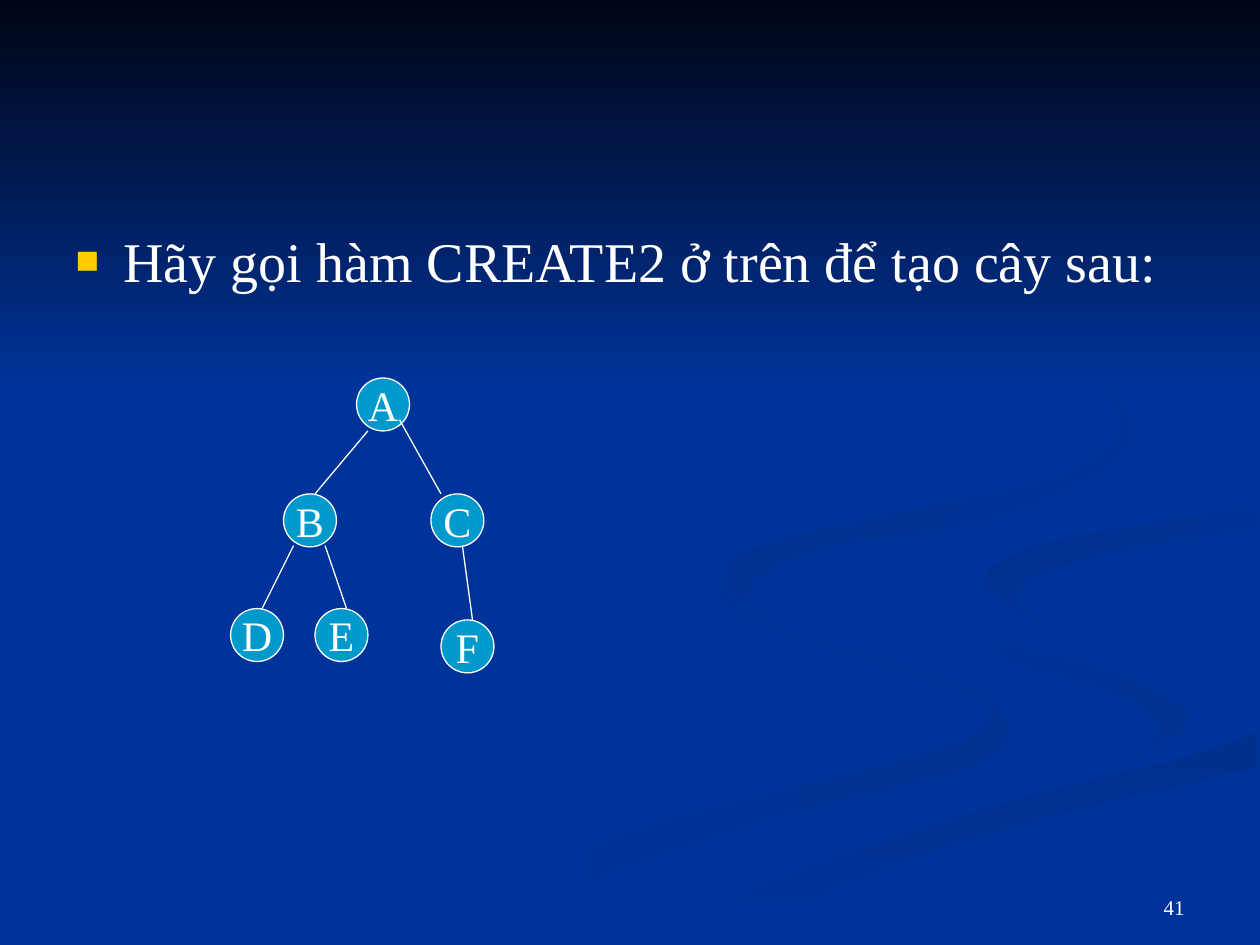
"""Build a slide that asks for a binary tree on a blue swirl background."""
from dataclasses import dataclass

from lxml.etree import SubElement
from pptx import Presentation
from pptx.dml.color import RGBColor
from pptx.enum.shapes import MSO_CONNECTOR, MSO_SHAPE
from pptx.enum.text import MSO_ANCHOR, PP_ALIGN
from pptx.oxml.ns import qn
from pptx.util import Inches, Pt


@dataclass(frozen=True)
class Theme:
    font: str = "Times New Roman"
    back: str = "003399"
    night: str = "000514"
    shade: str = "003193"
    deep_shade: str = "002F8E"
    node: str = "0099CC"
    text: str = "FFFFFF"
    bullet: str = "FFCC00"
    body_size: int = 32
    node_size: int = 24
    number_size: int = 12
    line_width: float = 0.75


THEME = Theme()

SWIRLS = [
    (THEME.back, THEME.shade, 0,
     [(5.75, 4.59), (5.7, 4.72), (6.11, 4.99), (6.97, 5.25), (7.7, 5.51),
      (7.86, 5.66), (7.59, 5.9), (6.52, 6.2), (4.99, 6.61), (3, 7.49)],
     [(3.61, 7.49), (4.66, 7), (6.23, 6.47), (7.69, 6.09), (8, 5.81),
      (7.81, 5.53), (7.15, 5.28), (6.26, 5.02), (5.79, 4.73), (5.75, 4.59)]),
    (THEME.back, THEME.shade, 45,
     [(7.24, 4.64), (7.33, 4.83), (7.92, 5.09), (8.88, 5.35), (9.43, 5.7),
      (8.94, 6.05)],
     [(8.94, 6.05), (9.18, 5.81), (8.92, 5.53), (7.97, 5.24), (7.33, 4.88),
      (7.24, 4.64)]),
    (THEME.deep_shade, THEME.back, 90,
     [(9.98, 5.81), (9.36, 6.02), (7.97, 6.38), (6.3, 6.93), (5.03, 7.49)],
     [(5.71, 7.49), (6.95, 6.92), (8.21, 6.51), (9.98, 6.09)]),
    (THEME.deep_shade, THEME.back, 45,
     [(8.26, 4.96), (7.81, 4.6), (8.21, 4.34), (8.98, 4.18), (9.98, 4.02)],
     [(9.98, 4.2), (8.78, 4.39), (8.06, 4.68), (8.26, 4.96)]),
    (THEME.deep_shade, THEME.back, 45,
     [(7.62, 2.33), (8.46, 2.79), (8.89, 3.35), (8.42, 3.78), (7.04, 4.09),
      (6.05, 4.33), (5.77, 4.62), (6.22, 5)],
     [(6.22, 5), (5.93, 4.7), (6.49, 4.36), (7.86, 4.12), (8.89, 3.62),
      (8.8, 3.07), (7.62, 2.33)]),
]

NODES = {"A": (2.83, 3), "B": (2.25, 3.92), "C": (3.42, 3.92),
         "D": (1.83, 4.83), "E": (2.5, 4.83), "F": (3.5, 4.92)}

EDGES = [(2.92, 3.42, 2.5, 3.92), (3.17, 3.33, 3.5, 3.92),
         (2.33, 4.33, 2.08, 4.83), (2.58, 4.33, 2.75, 4.83),
         (3.67, 4.33, 3.75, 4.92)]


def smooth(points, steps=5):
    padded = [points[0], *points, points[-1]]
    curve = []
    for quad in zip(padded, padded[1:], padded[2:], padded[3:]):
        for t in (i / steps for i in range(steps)):
            curve.append(tuple(
                b + t * ((c - a) + t * ((2 * a - 5 * b + 4 * c - d)
                                        + t * (3 * b - a - 3 * c + d))) / 2
                for a, b, c, d in zip(*quad)))
    return curve + [points[-1]]


class Deck:
    def __init__(self, theme):
        self.theme = theme
        self.prs = Presentation()
        self.prs.slide_width, self.prs.slide_height = Inches(10), Inches(7.5)
        self.s = self.prs.slides.add_slide(self.prs.slide_layouts[1])
        title = self.s.shapes.title.element
        title.getparent().remove(title)
        fill = self.s.background.fill
        fill.solid()
        fill.fore_color.rgb = self.rgb(theme.back)

    def rgb(self, color):
        return RGBColor.from_string(color)

    def style(self, p, size):
        for r in p.runs:
            r.font.name = self.theme.font
            r.font.size = Pt(size)
            r.font.color.rgb = self.rgb(self.theme.text)

    def outline(self, line):
        line.color.rgb = self.rgb(self.theme.text)
        line.width = Pt(self.theme.line_width)

    def gradient(self, sp, first, last, angle):
        sp.shadow.inherit = False
        sp.line.fill.background()
        sp.fill.gradient()
        sp.fill.gradient_angle = -angle % 360
        for stop, color in zip(sp.fill.gradient_stops, (first, last)):
            stop.color.rgb = self.rgb(color)

    def swirl(self, first, last, angle, outward, homeward):
        points = [(Inches(x), Inches(y))
                  for x, y in smooth(outward) + smooth(homeward)]
        builder = self.s.shapes.build_freeform(*points[0])
        builder.add_line_segments(points[1:], close=True)
        self.gradient(builder.convert_to_shape(), first, last, angle)

    def band(self, height):
        sp = self.s.shapes.add_shape(
            MSO_SHAPE.RECTANGLE, 0, 0, self.prs.slide_width, Inches(height))
        self.gradient(sp, self.theme.night, self.theme.back, 90)

    def number(self, text, *box):
        tf = self.s.shapes.add_textbox(*map(Inches, box)).text_frame
        tf.word_wrap = True
        tf.vertical_anchor = MSO_ANCHOR.BOTTOM
        tf.text = text
        p = tf.paragraphs[0]
        p.alignment = PP_ALIGN.RIGHT
        self.style(p, self.theme.number_size)

    def node(self, text, left, top, size=0.42):
        sp = self.s.shapes.add_shape(
            MSO_SHAPE.OVAL, *map(Inches, (left, top, size, size)))
        sp.shadow.inherit = False
        sp.fill.solid()
        sp.fill.fore_color.rgb = self.rgb(self.theme.node)
        self.outline(sp.line)
        tf = sp.text_frame
        tf.word_wrap = False
        tf.vertical_anchor = MSO_ANCHOR.MIDDLE
        tf.text = text
        p = tf.paragraphs[0]
        p.alignment = PP_ALIGN.CENTER
        self.style(p, self.theme.node_size)

    def edge(self, *ends):
        line = self.s.shapes.add_connector(
            MSO_CONNECTOR.STRAIGHT, *map(Inches, ends))
        self.outline(line.line)
        SubElement(line.element.spPr, qn("a:effectLst"))

    def body(self, text, *box):
        sp = self.s.placeholders[1]
        sp.left, sp.top, sp.width, sp.height = map(Inches, box)
        sp.element.getparent().append(sp.element)
        sp.text_frame.text = text
        p = sp.text_frame.paragraphs[0]
        p.space_before = Pt(0.2 * self.theme.body_size)
        self.style(p, self.theme.body_size)
        pPr = p._p.get_or_add_pPr()
        pPr.set("marL", str(Inches(0.38)))
        pPr.set("indent", str(Inches(-0.38)))
        color = SubElement(pPr, qn("a:buClr"))
        SubElement(color, qn("a:srgbClr"), val=self.theme.bullet)
        SubElement(pPr, qn("a:buSzPct"), val="70000")
        SubElement(pPr, qn("a:buFont"), typeface=self.theme.font)
        SubElement(pPr, qn("a:buChar"), char="■")


def main():
    deck = Deck(THEME)
    for swirl in SWIRLS:
        deck.swirl(*swirl)
    deck.band(3.08)
    deck.number("41", 7.17, 6.83, 2.33, 0.52)
    for name, place in NODES.items():
        deck.node(name, *place)
    for ends in EDGES:
        deck.edge(*ends)
    deck.body("Hãy gọi hàm CREATE2 ở trên để tạo cây sau:", 0.5, 1.75, 9, 4.95)
    deck.prs.save("out.pptx")


if __name__ == "__main__":
    main()
